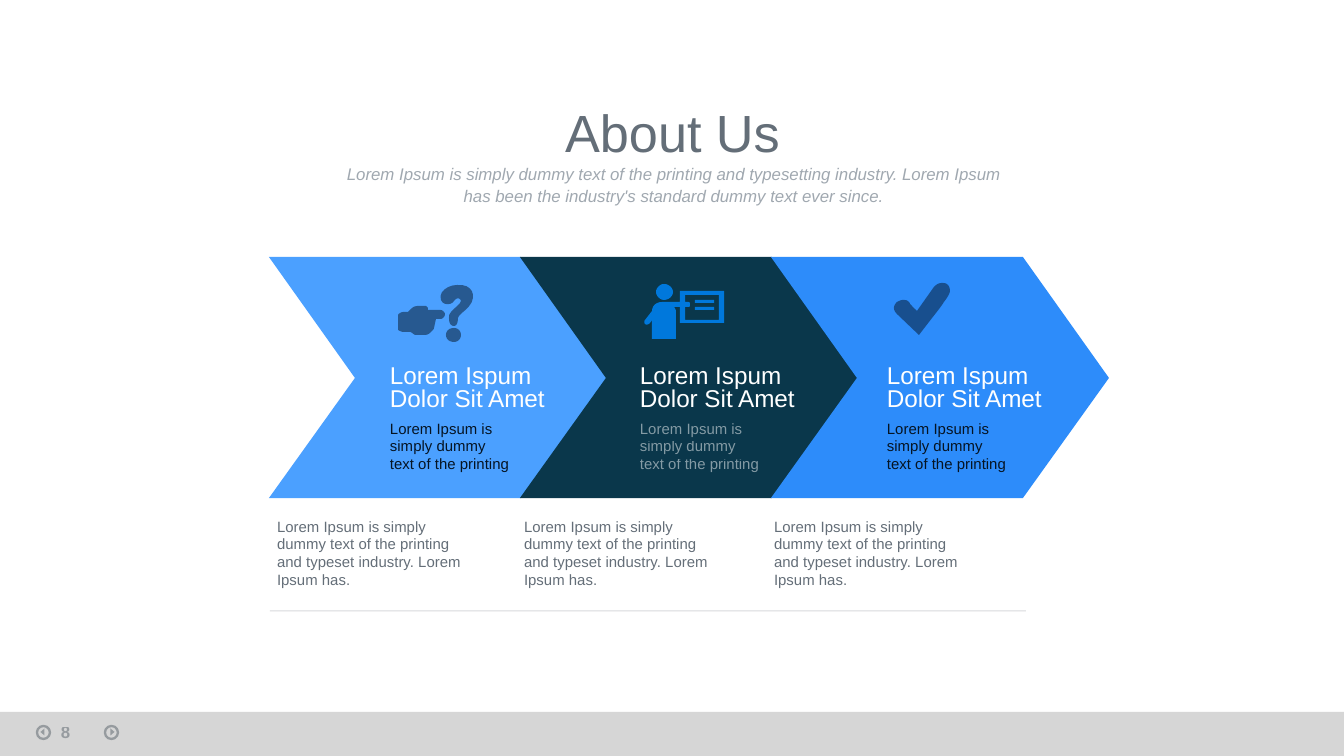
from pptx import Presentation
from pptx import util as u
from pptx.dml.color import RGBColor
from pptx.enum import shapes, text
from pptx.oxml import parse_xml
from pptx.oxml.ns import nsdecls, qn

SCALE = 914400 / 134.4
HUES = {
    "sky": "4BA0FF", "navy": "0A374B", "blue": "2D8CFA", "azure": "0078DC",
    "ink": "051423", "slate": "646E78", "mist": "A0A8B0", "bar": "D2D2D2",
    "white": "FFFFFF",
}
LEAD = "Lorem Ispum Dolor Sit Amet"
BODY = "Lorem Ipsum is simply dummy text of the printing"
NOTE = BODY + " and typeset industry. Lorem Ipsum has."
INTRO = (
    "Lorem Ipsum is simply dummy text of the printing and typesetting industry. "
    "Lorem Ipsum has been the industry's standard dummy text ever since."
)

POINT = """
M 457 285 C 448 285 438 292 441 300 C 443 306 452 305 454 301 C 456 298 460 297 461 301
C 461 305 447 312 449 318 C 449 325 452 326 454 326 C 457 326 458 322 458 318
C 458 314 472 308 473 298 C 474 291 469 284 457 285
M 454 328 C 449 328 446 331 446 335 C 446 339 449 342 454 342
C 458 342 461 339 461 335 C 461 331 458 328 454 328
M 439 310 L 428 310 L 428 308 L 426 306 L 418 306 C 415 306 413 307 411 309
C 410 310 409 311 408 312 L 404 312 C 403 312 402 312 400 313 C 399 314 398 314 398 316
L 398 329 C 398 330 399 331 400 331 C 402 332 403 332 404 332 L 410 332
C 411 332 412 333 415 335 L 425 335 C 428 335 430 333 431 332 C 433 330 434 329 434 328
L 436 319 L 439 319 C 441 319 442 319 443 318 C 444 317 445 316 445 314
C 445 313 444 312 443 311 C 442 310 441 310 439 310
"""
TEACH = """
M 664 284 C 660 284 656 288 656 292 C 656 296 660 300 664 300
C 669 300 673 296 673 292 C 673 288 669 284 664 284
M 680 291 L 680 302 L 662 302 C 656 302 652 306 652 311 L 645 320
C 644 321 644 323 645 324 C 646 325 648 325 650 323 L 652 320 L 652 339 L 676 339
L 676 312 C 676 310 675 308 674 307 L 680 307 L 680 323 L 724 323 L 724 291
M 685 295 L 719 295 L 719 320 L 685 320 L 685 307 L 688 307
C 690 307 690 306 690 305 C 690 303 690 302 688 302 L 685 302
M 695 300 L 695 303 L 714 303 L 714 300
M 695 307 L 695 310 L 714 310 L 714 307
"""
CHECK = """
M 894 308 C 894 306 895 304 897 302 C 899 301 901 300 903 300 C 905 300 906 300 908 301
C 909 302 910 303 910 304 L 914 308 C 915 309 916 310 917 311 L 934 287
C 937 284 939 283 942 283 C 944 283 946 283 948 285 C 949 286 950 288 950 291
C 950 293 948 297 944 302 C 941 307 936 313 929 322 L 919 335 L 897 314
C 895 312 894 310 894 308
"""


def px(n):
    return u.Emu(round(n * SCALE))


def rgb(name):
    return RGBColor.from_string(HUES[name])


def fade(item, pct):
    for node in item.element.iter(qn("a:srgbClr")):
        node.append(parse_xml(f'<a:alpha {nsdecls("a")} val="{pct * 1000}"/>'))


def paint(item, hue, pct=100):
    item.shadow.inherit = False
    item.fill.solid()
    item.fill.fore_color.rgb = rgb(hue)
    item.line.fill.background()
    if pct < 100:
        fade(item, pct)


def curve(a, b, c, d, steps=6):
    for i in range(1, steps + 1):
        t = i / steps
        s = 1 - t
        yield tuple(
            s**3 * p + 3 * s * s * t * q + 3 * s * t * t * r + t**3 * v
            for p, q, r, v in zip(a, b, c, d)
        )


def trace(route):
    parts = []
    for step in route.replace("M", "|M").replace("L", "|L").replace("C", "|C").split("|")[1:]:
        nums = [int(n) for n in step[1:].split()]
        spots = list(zip(nums[::2], nums[1::2]))
        if step[0] == "M":
            parts.append(spots)
        elif step[0] == "L":
            parts[-1] += spots
        else:
            parts[-1] += curve(parts[-1][-1], *spots)
    return [[(px(x), px(y)) for x, y in part] for part in parts]


def outline(slide, route, hue, pct=100):
    parts = trace(route)
    pen = slide.shapes.build_freeform(*parts[0][0], scale=1)
    for i, part in enumerate(parts):
        if i:
            pen.move_to(*part[0])
        pen.add_line_segments(part[1:], close=True)
    paint(pen.convert_to_shape(), hue, pct)


def write(slide, words, at, size, hue, holder=None, pct=100, bold=False, slant=False,
          align=text.PP_ALIGN.LEFT, anchor=text.MSO_ANCHOR.MIDDLE, space=1.0, pad=(0, 0)):
    box = holder or slide.shapes.add_textbox(0, 0, 0, 0)
    box.left, box.top, box.width, box.height = map(px, at)
    frame = box.text_frame
    frame.word_wrap = True
    frame.auto_size = text.MSO_AUTO_SIZE.NONE
    frame.vertical_anchor = anchor
    frame.margin_left = frame.margin_right = px(pad[0])
    frame.margin_top = frame.margin_bottom = px(pad[1])
    para = frame.paragraphs[0]
    para.alignment = align
    para.line_spacing = space
    para.space_before = u.Pt(0)
    run = para.add_run()
    run.text = words
    font = run.font
    font.name, font.size, font.bold, font.italic = "Arial", u.Pt(size), bold, slant
    font.color.rgb = rgb(hue)
    if pct < 100:
        fade(box, pct)


def arrow(slide, ring, tip, turn):
    kind = shapes.MSO_SHAPE
    disc = slide.shapes.add_shape(kind.OVAL, px(ring), px(726), px(13), px(13))
    disc.shadow.inherit = False
    disc.fill.background()
    disc.line.color.rgb = rgb("ink")
    disc.line.width = u.Pt(1.25)
    fade(disc, 30)
    mark = slide.shapes.add_shape(kind.ISOSCELES_TRIANGLE, px(tip), px(730), px(7), px(4))
    mark.rotation = turn
    paint(mark, "ink", 30)


def footer(slide):
    bar = slide.shapes.add_shape(shapes.MSO_SHAPE.RECTANGLE, 0, px(712), px(1344), px(44))
    paint(bar, "bar", 90)
    arrow(slide, 105, 109, 90)
    arrow(slide, 37, 39, 270)
    write(slide, "8", (48, 715, 56, 28), 9, "ink", pct=30, bold=True,
          anchor=text.MSO_ANCHOR.TOP, pad=(13, 7))


def chevron(slide, x, hue):
    outline(slide, f"M {x} 257 L {x + 86} 378 L {x} 498 L {x + 252} 498 "
                   f"L {x + 338} 378 L {x + 252} 257", hue)


def rule(slide):
    line = slide.shapes.add_connector(
        shapes.MSO_CONNECTOR.STRAIGHT, px(270), px(611), px(1026), px(611))
    line.line.color.rgb = rgb("slate")
    line.line.width = u.Pt(0.5)
    fade(line, 25)
    line.element.spPr.append(parse_xml(f'<a:effectLst {nsdecls("a")}/>'))


def main():
    deck = Presentation()
    deck.slide_width, deck.slide_height = px(1344), px(756)
    slide = deck.slides.add_slide(deck.slide_layouts[0])
    title, intro = slide.placeholders
    mid = text.PP_ALIGN.CENTER
    write(slide, "About Us", (235, 97, 875, 70), 28, "slate", holder=title, align=mid)
    write(slide, INTRO, (336, 160, 675, 47), 9, "mist", holder=intro, align=mid,
          slant=True, space=u.Pt(12))
    footer(slide)
    steps = [
        ("sky", 390, 277, "ink", 100, POINT, "ink", 50),
        ("navy", 640, 524, "white", 50, TEACH, "azure", 100),
        ("blue", 887, 774, "ink", 100, CHECK, "ink", 50),
    ]
    for i, (hue, x, foot, tone, pct, icon, tint, veil) in enumerate(steps):
        chevron(slide, 269 + 251 * i, hue)
        outline(slide, icon, tint, veil)
        write(slide, LEAD, (x, 359, 165, 60), 13, "white", space=0.8)
        write(slide, BODY, (x, 418, 120, 56), 8, tone, pct=pct)
        write(slide, NOTE, (foot, 525, 195, 56), 8, "slate")
    rule(slide)
    deck.save("out.pptx")


if __name__ == "__main__":
    main()
